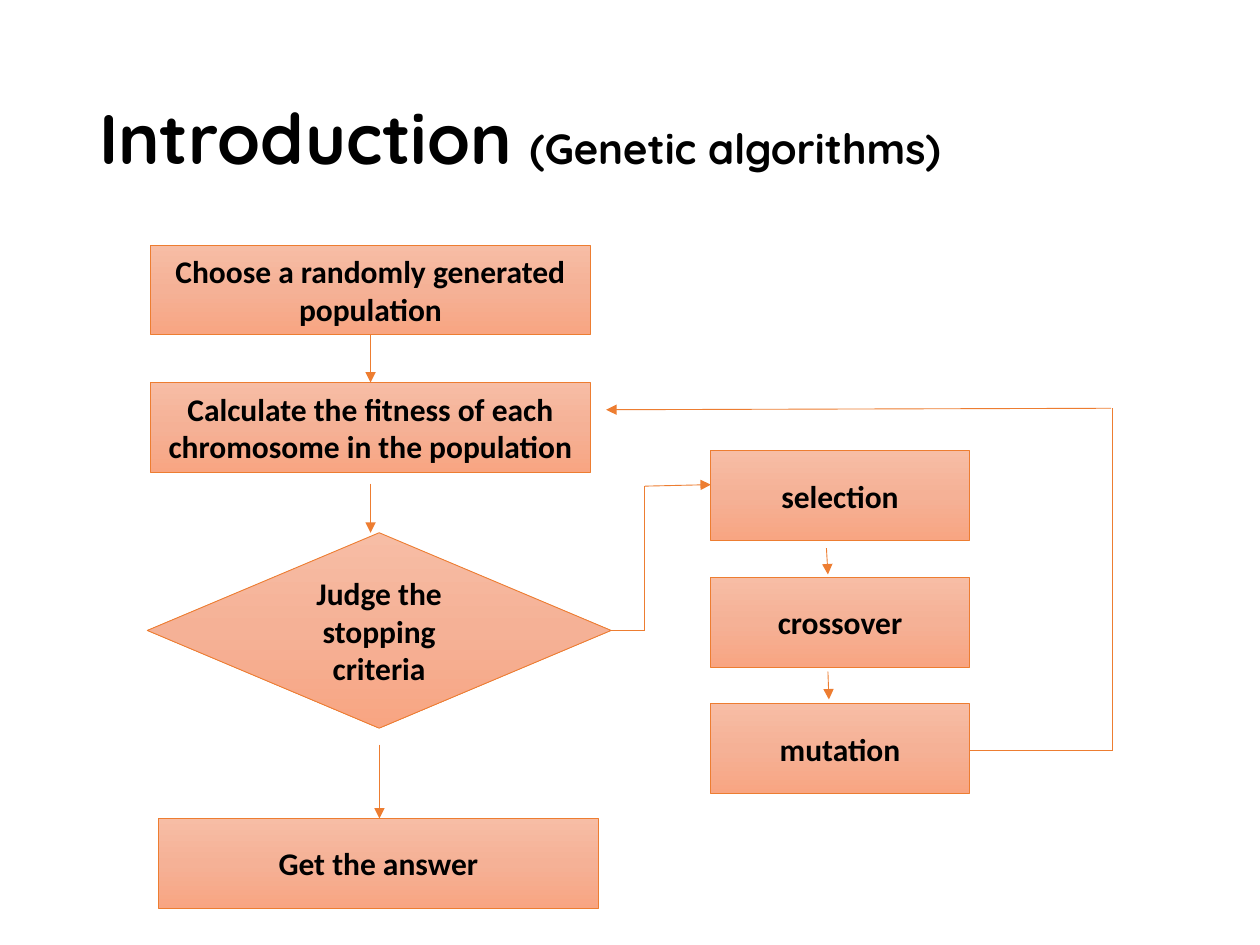
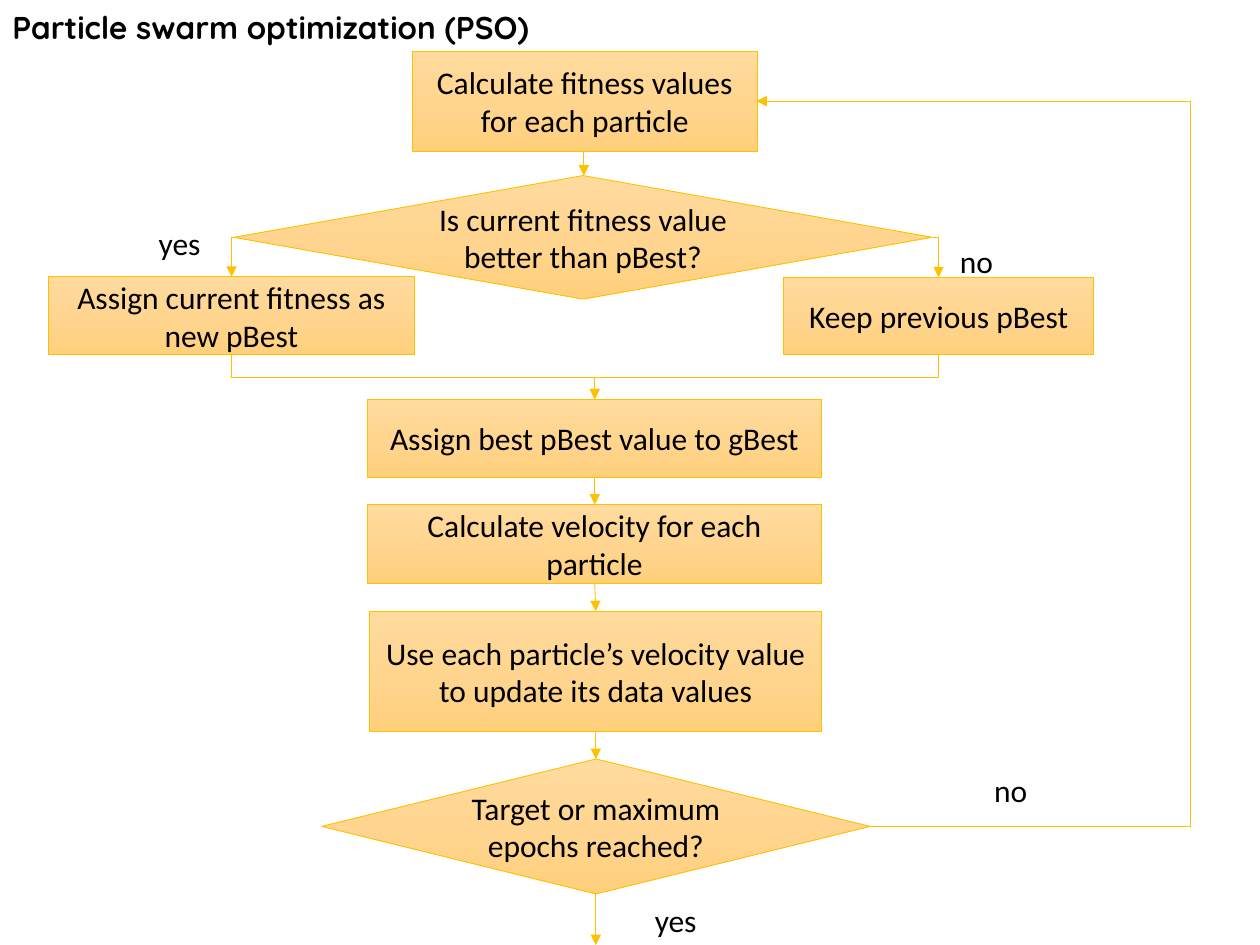
from dataclasses import dataclass

from lxml import etree
from pptx import Presentation
from pptx.dml import color
from pptx.enum import shapes, text
from pptx.oxml import ns
from pptx.util import Cm, Pt
from copy import deepcopy

BLACK = color.RGBColor(0x00, 0x00, 0x00)
ORANGE = color.RGBColor(0xED, 0x7D, 0x31)
GOLD = color.RGBColor(0xFF, 0xC0, 0x00)
SALMON_FADE = (
    color.RGBColor(0xF7, 0xBD, 0xA5),
    color.RGBColor(0xF5, 0xB1, 0x96),
    color.RGBColor(0xF8, 0xA5, 0x82),
)
AMBER_FADE = (
    color.RGBColor(0xFF, 0xDB, 0x9E),
    color.RGBColor(0xFF, 0xD5, 0x90),
    color.RGBColor(0xFF, 0xD0, 0x7C),
)
BODY_FONT = "Calibri"
TITLE_FONT = "Quicksand"
OUTLINE = Pt(0.5)

PROCESS = shapes.MSO_SHAPE.FLOWCHART_PROCESS
DECISION = shapes.MSO_SHAPE.FLOWCHART_DECISION
BOX = shapes.MSO_SHAPE.RECTANGLE
DIAMOND = shapes.MSO_SHAPE.DIAMOND


@dataclass(frozen=True)
class Theme:
    line: color.RGBColor
    fade: tuple
    bold: bool


@dataclass(frozen=True)
class Step:
    words: str
    left: float
    top: float
    width: float
    height: float
    outline: shapes.MSO_SHAPE


@dataclass(frozen=True)
class Link:
    start: tuple
    end: tuple
    arrow: bool = True


@dataclass(frozen=True)
class Corner(Link):
    pass


@dataclass(frozen=True)
class Drop(Link):
    pass


@dataclass(frozen=True)
class Loop(Link):
    turn_x: float = 0


@dataclass(frozen=True)
class Label:
    words: str
    left: float
    top: float


GENETIC = Theme(ORANGE, SALMON_FADE, True)
SWARM = Theme(GOLD, AMBER_FADE, False)


def add_words(paragraph, words: str, *, size: float = 18, font: str = BODY_FONT,
              bold: bool = False) -> None:
    run = paragraph.add_run()
    run.text = words
    run.font.size = Pt(size)
    run.font.name = font
    run.font.bold = bold
    run.font.color.rgb = BLACK


def add_frame(slide, left: float, top: float, width: float, height: float,
              wrap: bool = True):
    frame = slide.shapes.add_textbox(Cm(left), Cm(top), Cm(width), Cm(height)).text_frame
    frame.word_wrap = wrap
    return frame


def fade_fill(shape, fade: tuple) -> None:
    shape.fill.gradient()
    shape.fill.gradient_angle = 270
    stops = shape.element.spPr.find(".//" + ns.qn("a:gsLst"))
    stops.insert(1, deepcopy(stops[0]))
    for stop, position, shade in zip(shape.fill.gradient_stops, (0, 0.5, 1), fade):
        stop.position = position
        stop.color.rgb = shade


def draw_step(slide, step: Step, theme: Theme) -> None:
    shape = slide.shapes.add_shape(step.outline, Cm(step.left), Cm(step.top),
                                   Cm(step.width), Cm(step.height))
    shape.shadow.inherit = False
    fade_fill(shape, theme.fade)
    shape.line.color.rgb = theme.line
    shape.line.width = OUTLINE
    frame = shape.text_frame
    frame.word_wrap = True
    frame.vertical_anchor = text.MSO_ANCHOR.MIDDLE
    paragraph = frame.paragraphs[0]
    paragraph.alignment = text.PP_ALIGN.CENTER
    add_words(paragraph, step.words, bold=theme.bold)


def turned_ends(link: Drop) -> tuple:
    (x1, y1), (x2, y2) = link.start, link.end
    middle_x, middle_y = (x1 + x2) / 2, (y1 + y2) / 2
    sign = 1 if x2 < x1 else -1
    along, across = sign * (y2 - y1) / 2, sign * (x2 - x1) / 2
    return (middle_x - along, middle_y + across), (middle_x + along, middle_y - across)


def draw_link(slide, link: Link, theme: Theme) -> None:
    bent = isinstance(link, (Corner, Drop, Loop))
    kind = shapes.MSO_CONNECTOR.ELBOW if bent else shapes.MSO_CONNECTOR.STRAIGHT
    start, end = turned_ends(link) if isinstance(link, Drop) else (link.start, link.end)
    connector = slide.shapes.add_connector(kind, *map(Cm, start + end))
    connector.line.color.rgb = theme.line
    connector.line.width = OUTLINE
    properties = connector.element.spPr
    geometry = properties.find(ns.qn("a:prstGeom"))
    if isinstance(link, Corner):
        geometry.set("prst", "bentConnector2")
    if isinstance(link, Drop):
        angle = 90 if link.end[0] < link.start[0] else 270
        properties.find(ns.qn("a:xfrm")).set("rot", str(angle * 60000))
    if isinstance(link, Loop):
        share = (link.turn_x - start[0]) / (end[0] - start[0])
        etree.SubElement(geometry.find(ns.qn("a:avLst")), ns.qn("a:gd"),
                         name="adj1", fmla=f"val {round(share * 100000)}")
    if link.arrow:
        etree.SubElement(properties.find(ns.qn("a:ln")), ns.qn("a:tailEnd"), type="triangle")
    etree.SubElement(properties, ns.qn("a:effectLst"))


def draw_label(slide, label: Label) -> None:
    frame = add_frame(slide, label.left, label.top, 2.27, 1.02)
    add_words(frame.paragraphs[0], label.words)


def draw_chart(slide, theme: Theme, steps: list, links: list, labels: tuple = ()) -> None:
    for step in steps:
        draw_step(slide, step, theme)
    for link in links:
        draw_link(slide, link, theme)
    for label in labels:
        draw_label(slide, label)


def build_genetic(slide) -> None:
    frame = add_frame(slide, 1.75, 1.02, 21.9, 3.68)
    frame.vertical_anchor = text.MSO_ANCHOR.MIDDLE
    heading = frame.paragraphs[0]
    heading.line_spacing = 0.9
    for words, size in (("Introduction", 40), (" ", 36), ("(Genetic algorithms)", 24)):
        add_words(heading, words, size=size, font=TITLE_FONT, bold=True)

    wide, narrow, tall = 8.86, 5.21, 1.81
    steps = [
        Step("Choose a randomly generated population", 3.04, 4.94, wide, tall, PROCESS),
        Step("Calculate the fitness of each chromosome in the population",
             3.04, 7.71, wide, tall, PROCESS),
        Step("Judge the stopping criteria", 2.97, 10.74, 9.35, 3.94, DECISION),
        Step("Get the answer", 3.2, 16.5, wide, tall, PROCESS),
    ]
    steps += [
        Step(operator, 14.33, 9.09 + 2.55 * row, narrow, tall, PROCESS)
        for row, operator in enumerate(("selection", "crossover", "mutation"))
    ]
    links = [
        Link((12.32, 12.7), (13, 12.7), arrow=False),
        Link((13, 9.8), (13, 12.7), arrow=False),
        Link((13, 9.8), (14.33, 9.77)),
        Link((16.66, 11.05), (16.69, 11.58)),
        Link((16.69, 13.54), (16.71, 14.1)),
        Link((19.55, 15.13), (22.43, 15.13), arrow=False),
        Link((22.43, 15.13), (22.43, 8.23), arrow=False),
        Link((22.4, 8.23), (12.22, 8.26)),
        Link((7.47, 6.74), (7.47, 7.71)),
        Link((7.47, 9.75), (7.47, 10.74)),
        Link((7.65, 15.01), (7.65, 16.5)),
    ]
    draw_chart(slide, GENETIC, steps, links)


def build_swarm(slide) -> None:
    steps = [
        Step("Calculate fitness values for each particle", 8.31, 1.03, 6.96, 2.02, BOX),
        Step("Is current fitness value better than pBest?", 4.72, 3.54, 14.07, 2.49, DIAMOND),
        Step("Assign current fitness as new pBest", 0.97, 5.58, 7.39, 1.57, BOX),
        Step("Keep previous pBest", 15.8, 5.59, 6.25, 1.55, BOX),
        Step("Assign best pBest value to gBest", 7.4, 8.05, 9.17, 1.57, BOX),
        Step("Calculate velocity for each particle", 7.4, 10.17, 9.17, 1.6, BOX),
        Step("Use each particle’s velocity value to update its data values",
             7.45, 12.32, 9.12, 2.43, BOX),
        Step("Target or maximum epochs reached?", 6.49, 15.3, 11.05, 2.72, DIAMOND),
    ]
    links = [
        Link((11.77, 3.05), (11.77, 3.54)),
        Corner((4.72, 4.78), (4.67, 5.58)),
        Corner((18.8, 4.78), (18.92, 5.59)),
        Drop((4.67, 7.15), (11.99, 8.05)),
        Drop((18.92, 7.15), (11.99, 8.05)),
        Link((11.99, 9.62), (11.99, 10.17)),
        Link((11.99, 11.77), (12.01, 12.32)),
        Link((12.01, 14.75), (12.01, 15.3)),
        Loop((17.54, 16.66), (15.25, 2.04), turn_x=24),
        Link((12.01, 18.02), (12.01, 19.05)),
    ]
    labels = (
        Label("no", 19.79, 15.42),
        Label("yes", 12.95, 18.03),
        Label("yes", 2.95, 4.39),
        Label("no", 19.1, 4.75),
    )
    draw_chart(slide, SWARM, steps, links, labels)
    heading = add_frame(slide, 0, 0.03, 11.07, 1.02, wrap=False).paragraphs[0]
    add_words(heading, "Particle swarm optimization (PSO)", font=TITLE_FONT, bold=True)


def main() -> None:
    deck = Presentation()
    deck.slide_width, deck.slide_height = Cm(25.4), Cm(19.05)
    for build in (build_genetic, build_swarm):
        build(deck.slides.add_slide(deck.slide_layouts[6]))
    deck.save("out.pptx")


if __name__ == "__main__":
    main()
